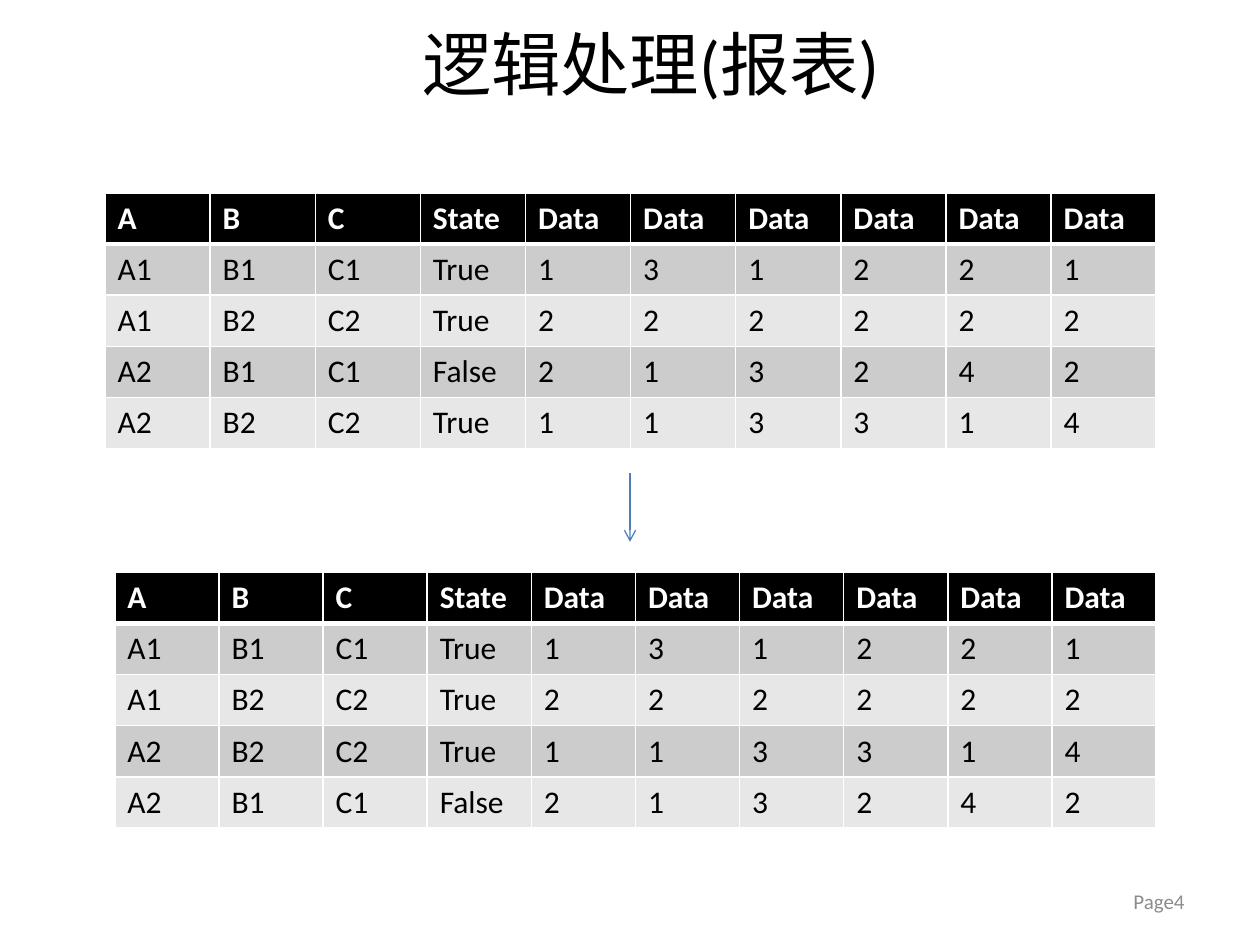
"""Build the report logic slide: two data tables joined by an arrow."""
from lxml.etree import SubElement
from pptx import Presentation
from pptx.dml.color import RGBColor
from pptx.enum.shapes import MSO_CONNECTOR as Connector
from pptx.enum.text import MSO_ANCHOR as Anchor, PP_ALIGN as Align
from pptx.oxml.ns import qn
from pptx.util import Pt

COLORS = {"black": "000000", "white": "FFFFFF", "dark_band": "CCCCCC",
          "light_band": "E7E7E7", "arrow": "4B7EBC", "page": "8C8C8C"}
ROW_HEIGHT = 29.2
HEADER = ["A", "B", "C", "State"] + ["Data"] * 6
FIRST_A1 = "A1 B1 C1 True 1 3 1 2 2 1".split()
SECOND_A1 = "A1 B2 C2 True 2 2 2 2 2 2".split()
FALSE_A2 = "A2 B1 C1 False 2 1 3 2 4 2".split()
TRUE_A2 = "A2 B2 C2 True 1 1 3 3 1 4".split()
TABLES = [
    {"left": 60, "top": 110.3, "width": 600.8,
     "rows": [HEADER, FIRST_A1, SECOND_A1, FALSE_A2, TRUE_A2]},
    {"left": 65.6, "top": 327.1, "width": 595.2,
     "rows": [HEADER, FIRST_A1, SECOND_A1, TRUE_A2, FALSE_A2]},
]


def write_text(frame, text, size, color, align=Align.LEFT, bold=False):
    para = frame.paragraphs[0]
    para.alignment = align
    span = para.add_run()
    span.text = text
    for name, value in {"name": "Calibri", "size": Pt(size), "bold": bold}.items():
        setattr(span.font, name, value)
    span.font.color.rgb = RGBColor.from_string(COLORS[color])


def add_border(cell, side, width):
    line = SubElement(cell._tc.get_or_add_tcPr(), qn(f"a:ln{side}"), w=str(Pt(width)))
    fill = SubElement(line, qn("a:solidFill"))
    SubElement(fill, qn("a:srgbClr"), val=COLORS["white"])


deck = Presentation()
deck.slide_width, deck.slide_height = Pt(720), Pt(540)
page = deck.slides.add_slide(deck.slide_layouts[5])

title = page.shapes.title
title.left, title.top, title.width, title.height = Pt(60), Pt(15), Pt(624), Pt(42)
title.text_frame.vertical_anchor = Anchor.MIDDLE
write_text(title.text_frame, "逻辑处理(报表)", 39.6, "black", Align.CENTER)

page_number = page.shapes.add_textbox(Pt(516), Pt(500.5), Pt(168), Pt(28.75))
page_number.text_frame.word_wrap = True
page_number.text_frame.vertical_anchor = Anchor.MIDDLE
write_text(page_number.text_frame, "Page4", 12, "page", Align.RIGHT)

for layout in TABLES:
    rows = layout["rows"]
    table = page.shapes.add_table(
        len(rows), len(HEADER), Pt(layout["left"]), Pt(layout["top"]),
        Pt(layout["width"]), Pt(ROW_HEIGHT * len(rows))).table
    for column in table.columns:
        column.width = Pt(layout["width"] / len(HEADER))
    for row_index, values in enumerate(rows):
        table.rows[row_index].height = Pt(ROW_HEIGHT)
        is_header = row_index == 0
        band = "black" if is_header else "dark_band" if row_index % 2 else "light_band"
        widths = {"L": 1, "R": 1, "T": 3 if row_index == 1 else 1,
                  "B": 3 if is_header else 1}
        for column_index, value in enumerate(values):
            cell = table.cell(row_index, column_index)
            for side, width in widths.items():
                add_border(cell, side, width)
            cell.fill.solid()
            cell.fill.fore_color.rgb = RGBColor.from_string(COLORS[band])
            write_text(cell.text_frame, value, 18,
                       "white" if is_header else "black", bold=is_header)

arrow = page.shapes.add_connector(Connector.STRAIGHT, Pt(360), Pt(270), Pt(360), Pt(309.6))
arrow.line.width = Pt(0.75)
arrow.line.color.rgb = RGBColor.from_string(COLORS["arrow"])
SubElement(arrow.line._get_or_add_ln(), qn("a:tailEnd"), type="arrow")
SubElement(arrow._element.spPr, qn("a:effectLst"))

deck.save("out.pptx")
